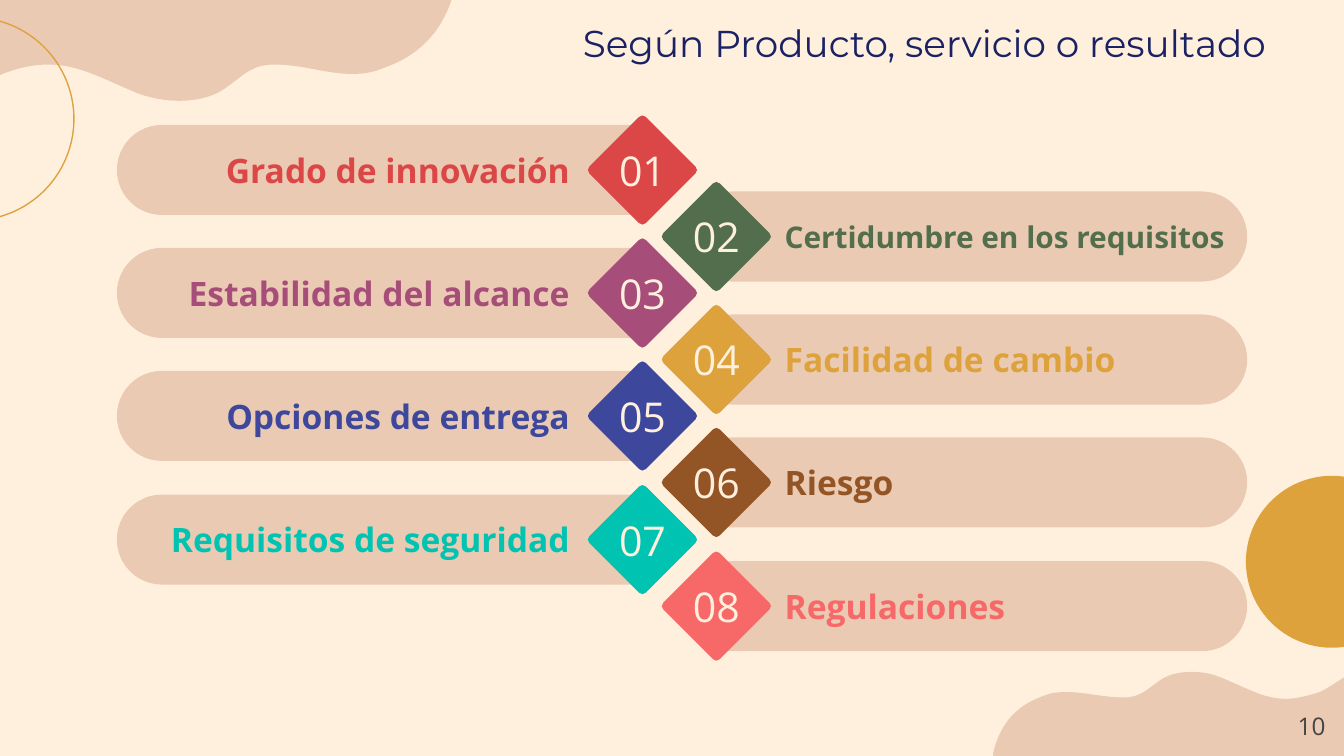
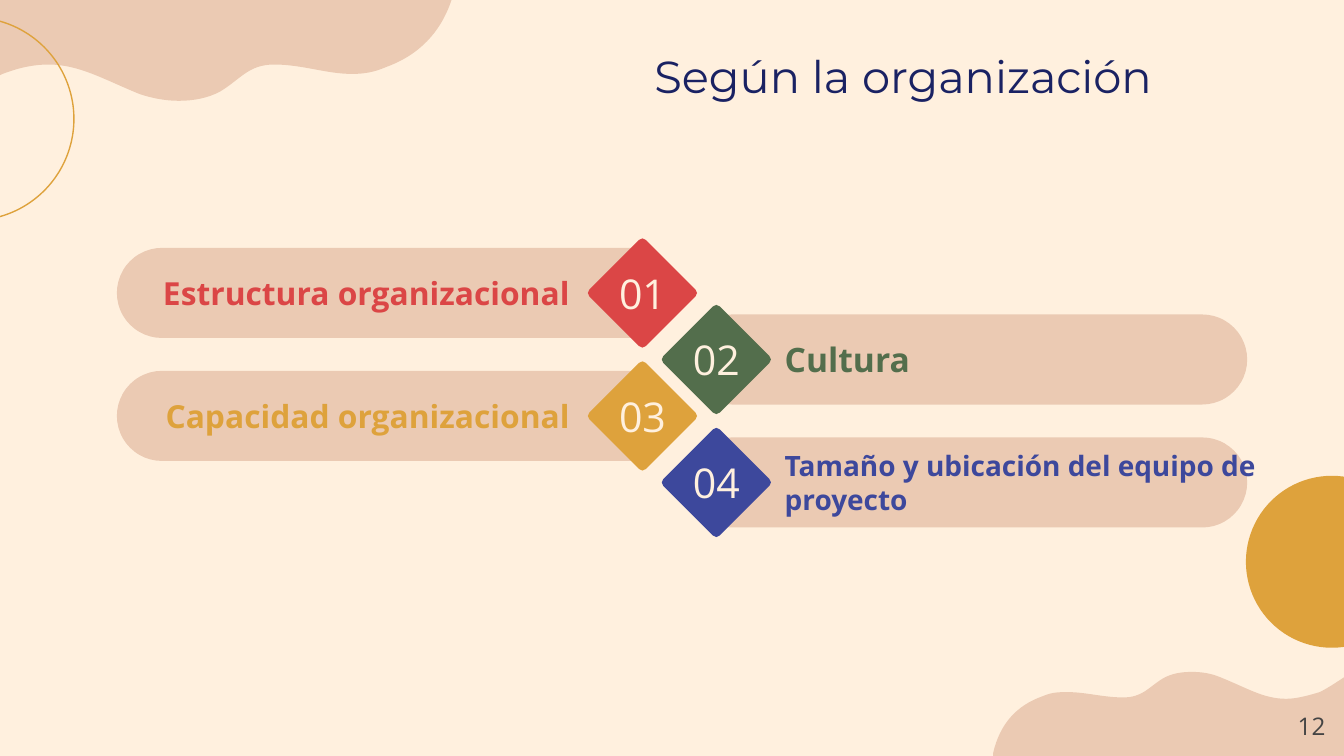
from dataclasses import dataclass

from pptx import Presentation
from pptx.dml.color import RGBColor
from pptx.enum.shapes import MSO_SHAPE
from pptx.enum.text import MSO_ANCHOR, PP_ALIGN
from pptx.oxml.ns import qn
from pptx.util import Emu, Pt

LEFT, CENTER, RIGHT = PP_ALIGN.LEFT, PP_ALIGN.CENTER, PP_ALIGN.RIGHT
TOP, MIDDLE = MSO_ANCHOR.TOP, MSO_ANCHOR.MIDDLE
PILL, OVAL = MSO_SHAPE.ROUNDED_RECTANGLE, MSO_SHAPE.OVAL

PX = 4572  # EMU per px, 200 px to the inch
INSET = 20


@dataclass(frozen=True)
class Theme:
    cream: str = "FFF0DE"
    sand: str = "EBCAB3"
    gold: str = "DEA23C"
    navy: str = "1A2263"
    grey: str = "444444"
    red: str = "DB4646"
    green: str = "536E4C"
    plum: str = "A64D79"
    blue: str = "3D489C"
    brown: str = "945526"
    teal: str = "00C3B1"
    coral: str = "F76868"
    title_font: str = "Montserrat"
    body_font: str = "Open Sans"
    number_size: int = 22
    label_size: int = 18
    page_size: int = 13


T = Theme()


def write(sp, text, *, size, color, font=T.body_font, bold=False,
          align=LEFT, anchor=MIDDLE):
    """Put one formatted line of text into a shape or text box."""
    tf = sp.text_frame
    tf.word_wrap = True
    tf.vertical_anchor = anchor
    tf.margin_left = tf.margin_right = Emu(INSET * PX)
    tf.margin_top = tf.margin_bottom = Emu(INSET * PX)
    p = tf.paragraphs[0]
    p.alignment = align
    r = p.add_run()
    r.text = text
    r.font.name, r.font.size, r.font.bold = font, Pt(size), bold
    r.font.color.rgb = RGBColor.from_string(color)


def add_outline(s, start, segments, color):
    """Draw a filled outline; one point makes a line, three make a curve."""
    builder = s.shapes.build_freeform(*start, scale=PX)
    builder.add_line_segments([pt for seg in segments for pt in seg], close=True)
    sp = builder.convert_to_shape()
    steps = iter(sp._element.xpath(".//a:lnTo"))
    for seg in segments:
        step = next(steps)
        if len(seg) == 3:
            step.tag = qn("a:cubicBezTo")
            for extra in (next(steps), next(steps)):
                step.append(extra[0])
                extra.getparent().remove(extra)
    sp.shadow.inherit = False
    sp.fill.solid()
    sp.fill.fore_color.rgb = RGBColor.from_string(color)
    sp.line.fill.background()
    return sp


# Shared decoration: waves in two corners, a gold disc and a gold ring
TOP_WAVE = [
    [(0, 112)], [(4, 110)],
    [(30, 100), (52, 96), (72, 96)],
    [(118, 96), (154, 118), (208, 140)],
    [(226, 146), (246, 150), (266, 150)],
    [(288, 150), (310, 146), (328, 136)],
    [(358, 118), (370, 96), (408, 96)],
    [(450, 96), (486, 110), (524, 110)],
    [(540, 110), (556, 108), (574, 100)],
    [(624, 82), (656, 48), (672, 0)],
]
BOTTOM_WAVE = [
    [(2000, 1008)],
    [(1988, 1016), (1976, 1024), (1964, 1030)],
    [(1944, 1036), (1928, 1040), (1914, 1040)],
    [(1880, 1040), (1856, 1024), (1816, 1008)],
    [(1802, 1002), (1788, 1000), (1774, 1000)],
    [(1758, 1000), (1744, 1002), (1730, 1010)],
    [(1708, 1024), (1700, 1038), (1671, 1038)],
    [(1642, 1038), (1616, 1030), (1588, 1030)],
    [(1576, 1030), (1566, 1030), (1552, 1036)],
    [(1512, 1050), (1488, 1078), (1478, 1120)],
    [(1478, 1125)],
]
CIRCLES = [  # left, top, diameter, filled
    (1854, 708, 256, True),
    (-192, 26, 302, False),
]

# Rounded diamond around (0, 0): the top corner turned four times
DIAMOND = []
corner = [(5, -79), (2, -82), (-2, -82), (-5, -79)]
for _ in range(4):
    DIAMOND += [[corner[0]], corner[1:]]
    corner = [(y, -x) for x, y in corner]

# Bars alternate left and right; a slot is half a row
FIRST_BAR_Y, THREE_ROWS, RIGHT_DROP = 186, 550, 99
BAR_W, BAR_H = 834, 134
BAR_X = (174, 1022)
DIAMOND_X = (956, 1066)
LABEL_RIGHT, LABEL_LEFT = 868, 1148
LABEL_H, LABEL_W = 80, 666

# Slide content: label, colour, size, width
SLIDES = [
    dict(title="Según Producto, servicio o resultado", title_size=20,
         title_box=(216, 0, 1688, 126), title_align=RIGHT,
         page="10", first_slot=0, items=[
             ("Grado de innovación", T.red, T.label_size, LABEL_W),
             ("Certidumbre en los requisitos", T.green, 16, 720),
             ("Estabilidad del alcance", T.plum, T.label_size, LABEL_W),
             ("Facilidad de cambio", T.gold, T.label_size, LABEL_W),
             ("Opciones de entrega", T.blue, T.label_size, LABEL_W),
             ("Riesgo", T.brown, T.label_size, LABEL_W),
             ("Requisitos de seguridad", T.teal, T.label_size, LABEL_W),
             ("Regulaciones", T.coral, T.label_size, LABEL_W),
         ]),
    dict(title="Según la organización", title_size=24,
         title_box=(954, 50, 962, 126), title_align=LEFT,
         page="12", first_slot=2, items=[
             ("Estructura organizacional", T.red, 17, LABEL_W),
             ("Cultura", T.green, T.label_size, 720),
             ("Capacidad organizacional", T.gold, 17, 688),
             ("Tamaño y ubicación del equipo de proyecto", T.blue, 15, 742),
         ]),
]

prs = Presentation()
prs.slide_width, prs.slide_height = Emu(2000 * PX), Emu(1125 * PX)

for page in SLIDES:
    s = prs.slides.add_slide(prs.slide_layouts[6])
    s.background.fill.solid()
    s.background.fill.fore_color.rgb = RGBColor.from_string(T.cream)

    # Decoration
    add_outline(s, (2000, 1125), BOTTOM_WAVE, T.sand)
    add_outline(s, (0, 0), TOP_WAVE, T.sand)
    for x, y, d, filled in CIRCLES:
        sp = s.shapes.add_shape(OVAL, x * PX, y * PX, d * PX, d * PX)
        sp.shadow.inherit = False
        if filled:
            sp.fill.solid()
            sp.fill.fore_color.rgb = RGBColor.from_string(T.gold)
            sp.line.fill.background()
        else:
            sp.fill.background()
            sp.line.color.rgb = RGBColor.from_string(T.gold)
            sp.line.width = Pt(0.75)

    # Title
    sp = s.shapes.add_textbox(*(v * PX for v in page["title_box"]))
    write(sp, page["title"], size=page["title_size"], color=T.navy,
          font=T.title_font, align=page["title_align"])

    # Numbered bars
    for i, (label, color, size, width) in enumerate(page["items"]):
        row, side = divmod(page["first_slot"] + i, 2)
        y = FIRST_BAR_Y + row * THREE_ROWS // 3 + side * RIGHT_DROP

        sp = s.shapes.add_shape(PILL, BAR_X[side] * PX, y * PX,
                                BAR_W * PX, BAR_H * PX)
        sp.adjustments[0] = 0.5
        sp.shadow.inherit = False
        sp.fill.solid()
        sp.fill.fore_color.rgb = RGBColor.from_string(T.sand)
        sp.line.fill.background()

        x = LABEL_LEFT if side else LABEL_RIGHT - width
        sp = s.shapes.add_textbox(x * PX, (y + (BAR_H - LABEL_H) // 2) * PX,
                                  width * PX, LABEL_H * PX)
        write(sp, label, size=size, color=color, bold=True,
              align=LEFT if side else RIGHT)

        cx, cy = DIAMOND_X[side], y + BAR_H // 2
        outline = [[(cx + dx, cy + dy) for dx, dy in seg] for seg in DIAMOND]
        sp = add_outline(s, outline[0][0], outline[1:], color)
        write(sp, f"{i + 1:02}", size=T.number_size, color=T.cream, align=CENTER)

    # Page number
    sp = s.shapes.add_textbox(1872 * PX, 1038 * PX, 120 * PX, 86 * PX)
    write(sp, page["page"], size=T.page_size, color=T.grey, align=RIGHT, anchor=TOP)

prs.save("out.pptx")
